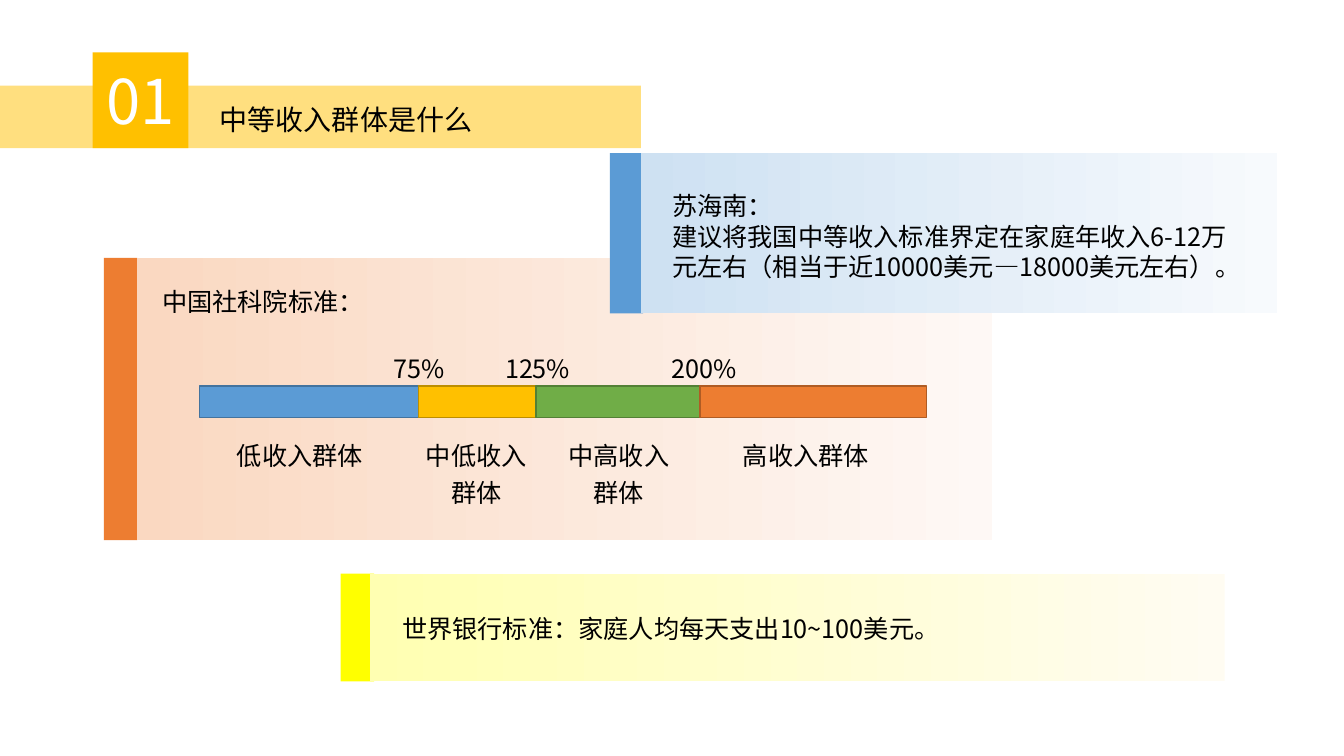
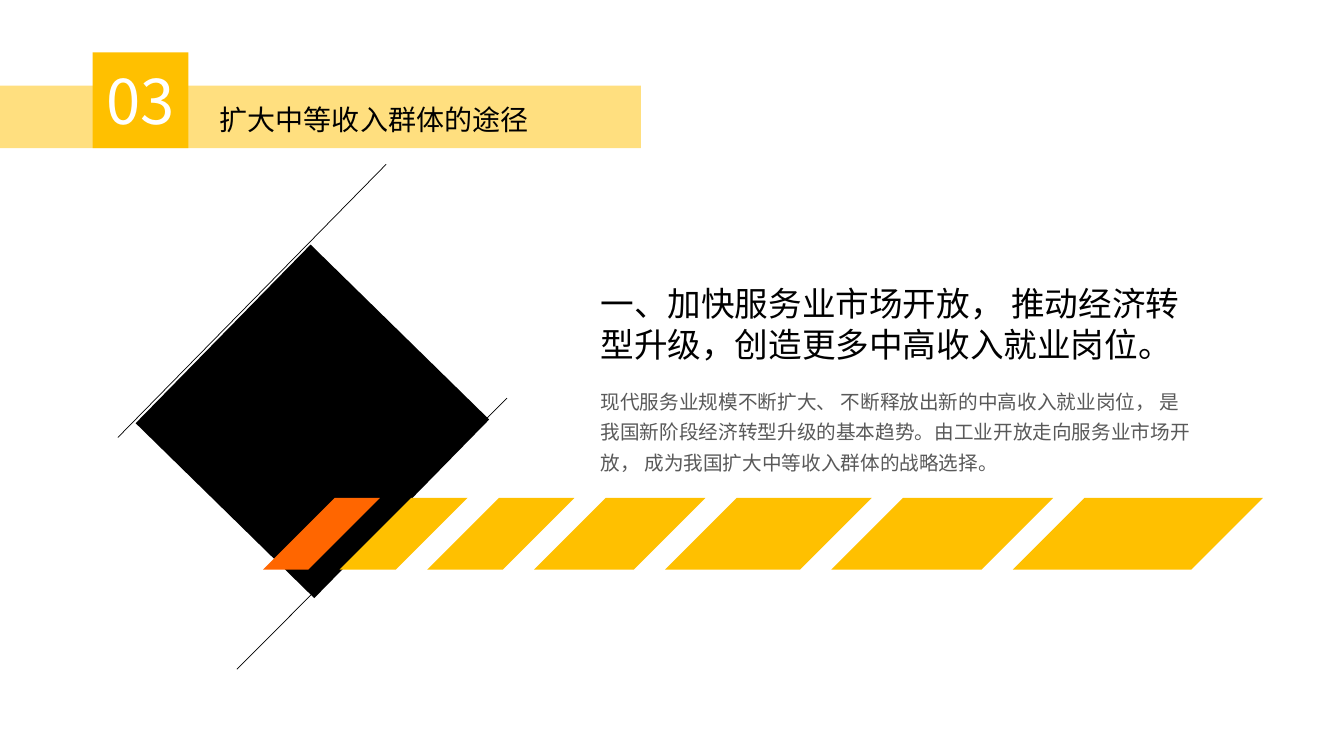
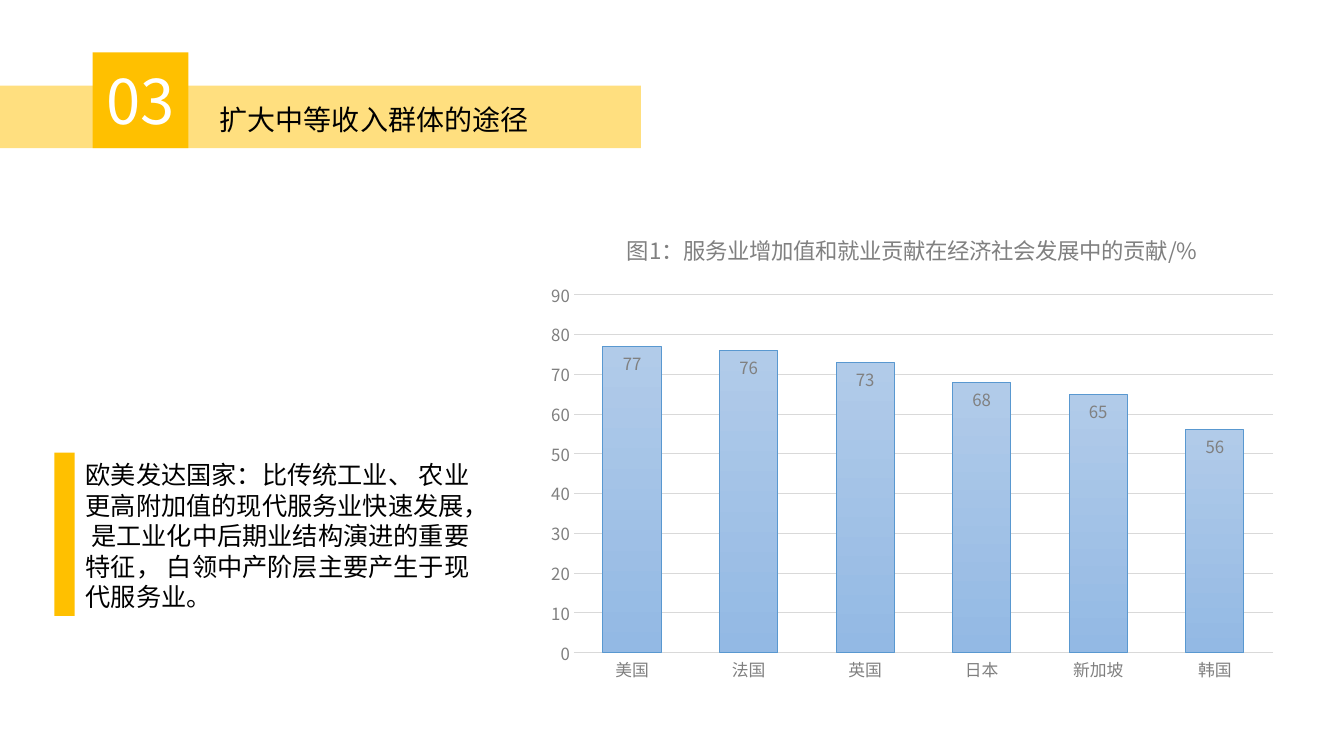
from dataclasses import dataclass
from itertools import accumulate

from lxml import etree
from pptx import Presentation
from pptx import util as u
from pptx.chart import data as chart_data
from pptx.dml import color
from pptx.enum import chart as ch, shapes, text
from pptx.oxml import ns

Pt = u.Pt


@dataclass(frozen=True)
class Theme:
    font: str = "Noto Sans CJK SC"
    ink: str = "000000"
    white: str = "FFFFFF"
    soft_ink: str = "595959"
    chart_ink: str = "808080"
    grid: str = "D9D9D9"
    gold: str = "FFC000"
    blue: str = "5B9BD5"
    green: str = "70AD47"
    orange: str = "ED7D31"
    accent: str = "FF6600"
    yellow: str = "FFFF00"
    number: int = 44
    heading: int = 24
    title: int = 20
    body: int = 18
    chart_title: int = 16
    note: int = 14
    label: int = 12
    leading: float = 1.21
    note_leading: float = 1.56


T = Theme()
FRAME = dict(word_wrap=True, auto_size=text.MSO_AUTO_SIZE.NONE,
             vertical_anchor=text.MSO_ANCHOR.TOP, margin_left=Pt(7.2),
             margin_right=Pt(7.2), margin_top=Pt(4.8), margin_bottom=Pt(3.6))
LEFT, CENTER = text.PP_ALIGN.LEFT, text.PP_ALIGN.CENTER
RECT = shapes.MSO_SHAPE.RECTANGLE

WAYS = ("03", "扩大中等收入群体的途径")
WHAT = ("01", "中等收入群体是什么")

STANDARDS = [
    dict(bar=(74.2, 184.3, 23.8, 201.6), fade=(97.9, 610.6), fill=T.orange,
         tints=("FEF8F5", "FAD8C1"), place=(108.7, 199.4, 237, 28.8),
         words=["中国社科院标准："]),
    dict(bar=(435.6, 109.4, 23.8, 114.5), fade=(457.9, 454.3), fill=T.blue,
         tints=("F7FAFD", "CEE1F2"), place=(473, 131, 425.5, 72.7),
         words=["苏海南：", "建议将我国中等收入标准界定在家庭年收入6-12万元左右"
                "（相当于近10000美元—18000美元左右）。"]),
    dict(bar=(243.4, 409.7, 23.8, 77), fade=(264.2, 610.6), fill=T.yellow,
         tints=("FFFCF2", "FFFFB2"), place=(280.1, 433.4, 424, 28.8),
         words=["世界银行标准：家庭人均每天支出10~100美元。"]),
]
INCOME_LEFT = 142.6
INCOME_BANDS = [(156.5, T.blue, "43739E"), (83.8, T.gold, "BD8E00"),
                (117.1, T.green, "538035"), (161.7, T.orange, "AF5C24")]
THRESHOLDS = [(66.2, ["75%"]), (16.6, []), (68.4, ["125%"]), (35.3, []), (98.6, ["200%"])]
INCOME_GROUPS = [(143.3, ["低收入群体"]), (108.7, ["中低收入", "群体"]),
                 (95, ["中高收入", "群体"]), (172.1, ["高收入群体"])]

WAY_ONE = "一、加快服务业市场开放， 推动经济转型升级，创造更多中高收入就业岗位。"
WAY_ONE_NOTE = ("现代服务业规模不断扩大、 不断释放出新的中高收入就业岗位， "
                "是我国新阶段经济转型升级的基本趋势。由工业开放走向服务业市场开放， "
                "成为我国扩大中等收入群体的战略选择。")
STRIPE_LEFT, STRIPE_OVERLAP = 187.9, 28.8
STRIPE_WIDTHS = [83.5, 91.4, 105.1, 122.4, 147.6, 158.4, 178.6]
DIAGONALS = [(169.2, 478.1, 362.2, 284.4), (84.2, 312.5, 275.8, 117.4)]

WEST = ("欧美发达国家：比传统工业、 农业更高附加值的现代服务业快速发展， "
        "是工业化中后期业结构演进的重要特征， 白领中产阶层主要产生于现代服务业。")
SHARE_TITLE = "图1：服务业增加值和就业贡献在经济社会发展中的贡献/%"
SHARES = {"美国": 77, "法国": 76, "英国": 73, "日本": 68, "新加坡": 65, "韩国": 56}


def rgb(value):
    return color.RGBColor.from_string(value)


def assign(target, values):
    for key, value in values.items():
        setattr(target, key, value)


def place(part, box):
    assign(part, dict(zip(("left", "top", "width", "height"), map(Pt, box))))


def style_font(font, size, ink):
    assign(font, dict(size=Pt(size), name=T.font, bold=False))
    font.color.rgb = rgb(ink)
    latin = font._rPr.find(ns.qn("a:latin"))
    east = etree.Element(ns.qn("a:ea"), typeface=T.font)
    latin.addnext(east)


def write(frame, lines, size=T.body, ink=T.ink, align=LEFT, leading=None, plain=False):
    for index, line in enumerate(lines):
        para = frame.add_paragraph() if index else frame.paragraphs[0]
        if plain:
            props = para._p.get_or_add_pPr()
            props.set("marL", "0")
            props.set("indent", "0")
            etree.SubElement(props, ns.qn("a:buNone"))
        assign(para, dict(alignment=align, space_before=Pt(0)))
        if leading:
            para.line_spacing = Pt(round(size * leading, 2))
        run = para.add_run()
        run.text = line
        style_font(run.font, size, ink)


def fill_text(part, box, lines, leading=T.leading, **look):
    place(part, box)
    assign(part.text_frame, FRAME)
    write(part.text_frame, lines, leading=leading, **look)


def text_box(slide, box, lines, **look):
    fill_text(slide.shapes.add_textbox(*map(Pt, box)), box, lines, **look)


def block(slide, box, fill, kind=RECT, edge=None):
    part = slide.shapes.add_shape(kind, *map(Pt, box))
    part.shadow.inherit = False
    if isinstance(fill, tuple):
        gradient(part.fill, fill, 180)
    else:
        part.fill.solid()
        part.fill.fore_color.rgb = rgb(fill)
    if edge:
        part.line.color.rgb = rgb(edge)
        part.line.width = Pt(1)
    else:
        part.line.fill.background()
    return part


def gradient(fill, tints, angle):
    fill.gradient()
    fill.gradient_angle = angle
    for stop, tint in zip(fill.gradient_stops, tints):
        stop.color.rgb = rgb(tint)


def label_row(slide, left, top, height, columns):
    widths = [width for width, _ in columns]
    frame = slide.shapes.add_table(1, len(columns), Pt(left), Pt(top),
                                   Pt(sum(widths)), Pt(height))
    table = frame.table
    assign(table, dict(first_row=False, horz_banding=False))
    style_id = table._tbl.tblPr.find(ns.qn("a:tableStyleId"))
    style_id.text = "{2D5ABB26-0587-4C30-8999-92F81FD0307C}"
    table.rows[0].height = Pt(height)
    for index, (width, lines) in enumerate(columns):
        table.columns[index].width = Pt(width)
        cell = table.cell(0, index)
        cell.fill.background()
        write(cell.text_frame, lines, align=CENTER)


def section_slide(deck, layout, section):
    number, title = section
    slide = deck.slides.add_slide(deck.slide_layouts[layout])
    band = block(slide, (0, 61.2, 457.9, 44.6), T.gold)
    tint = band.fill._xPr.find(".//" + ns.qn("a:srgbClr"))
    etree.SubElement(tint, ns.qn("a:alpha"), val="50000")
    badge = block(slide, (66.2, 37.4, 68.4, 68.4), T.gold)
    badge.text_frame.vertical_anchor = text.MSO_ANCHOR.MIDDLE
    write(badge.text_frame, [number], T.number, T.white, CENTER)
    heading = slide.shapes.title
    fill_text(heading, (149.8, 68.4, 298, 31.7), [title], size=T.title)
    slide.shapes._spTree.append(heading._element)
    return slide


def standards_slide(deck):
    slide = section_slide(deck, 5, WHAT)
    for item in STANDARDS:
        _, top, _, height = item["bar"]
        left, width = item["fade"]
        block(slide, item["bar"], item["fill"])
        block(slide, (left, top, width, height), item["tints"])
        text_box(slide, item["place"], item["words"])
    lefts = accumulate((width for width, _, _ in INCOME_BANDS), initial=INCOME_LEFT)
    for left, (width, fill, edge) in zip(lefts, INCOME_BANDS):
        block(slide, (left, 275.8, width, 22.3), fill, edge=edge)
    label_row(slide, 266.4, 246.2, 29.2, THRESHOLDS)
    label_row(slide, INCOME_LEFT, 308.2, 50.4, INCOME_GROUPS)


def way_slide(deck):
    slide = section_slide(deck, 1, WAYS)
    block(slide, (133.9, 211.7, 178.6, 178.6), T.ink).rotation = 44.4
    for ends in DIAGONALS:
        diagonal = slide.shapes.add_connector(shapes.MSO_CONNECTOR.STRAIGHT, *map(Pt, ends))
        diagonal.line.color.rgb = rgb(T.ink)
        diagonal.line.width = Pt(0.5)
        etree.SubElement(diagonal._element.spPr, ns.qn("a:effectLst"))
    steps = (width - STRIPE_OVERLAP for width in STRIPE_WIDTHS)
    lefts = accumulate(steps, initial=STRIPE_LEFT)
    for index, (left, width) in enumerate(zip(lefts, STRIPE_WIDTHS)):
        stripe = block(slide, (left, 355.7, width, 51.1), T.gold if index else T.accent,
                       shapes.MSO_SHAPE.PARALLELOGRAM)
        stripe.adjustments[0] = 1
    text_box(slide, (421.9, 197.3, 437, 65.5), [WAY_ONE], size=T.heading)
    fill_text(slide.placeholders[1], (421.9, 268.6, 437, 67), [WAY_ONE_NOTE],
              size=T.note, ink=T.soft_ink, leading=T.note_leading, plain=True)


def share_chart(slide):
    shares = chart_data.CategoryChartData()
    shares.categories = list(SHARES)
    shares.add_series("Series 1", list(SHARES.values()))
    chart = slide.shapes.add_chart(ch.XL_CHART_TYPE.COLUMN_CLUSTERED,
                                   *map(Pt, (383, 151.9, 537.1, 342)), shares).chart
    style_font(chart.font, T.label, T.chart_ink)
    chart.has_legend = False
    chart.has_title = True
    write(chart.chart_title.text_frame, [SHARE_TITLE], T.chart_title, T.chart_ink, CENTER)
    for axis in (chart.category_axis, chart.value_axis):
        assign(axis, dict(major_tick_mark=ch.XL_TICK_MARK.NONE,
                          minor_tick_mark=ch.XL_TICK_MARK.NONE))
        style_font(axis.tick_labels.font, T.label, T.chart_ink)
    values = chart.value_axis
    assign(values, dict(minimum_scale=0, maximum_scale=90, major_unit=10,
                        has_major_gridlines=True))
    values.format.line.fill.background()
    for line in (chart.category_axis.format.line, values.major_gridlines.format.line):
        line.color.rgb = rgb(T.grid)
        line.width = Pt(0.75)
    plot = chart.plots[0]
    assign(plot, dict(gap_width=100, overlap=-24, vary_by_categories=False))
    columns = plot.series[0]
    gradient(columns.format.fill, ("B1CBE9", "93B9E4"), 270)
    columns.format.line.color.rgb = rgb("5998D0")
    columns.format.line.width = Pt(0.75)
    labels = columns.data_labels
    assign(labels, dict(show_value=True, position=ch.XL_LABEL_POSITION.INSIDE_END))
    style_font(labels.font, T.label, T.chart_ink)


def share_slide(deck):
    slide = section_slide(deck, 1, WAYS)
    fill_text(slide.placeholders[1], (54, 323.3, 301, 116.6), [WEST], size=T.body, plain=True)
    share_chart(slide)
    block(slide, (38.9, 323.3, 14.4, 116.6), T.gold)


def main():
    deck = Presentation()
    assign(deck, dict(slide_width=Pt(960), slide_height=Pt(540)))
    for build in (standards_slide, way_slide, share_slide):
        build(deck)
    deck.save("out.pptx")


if __name__ == "__main__":
    main()
